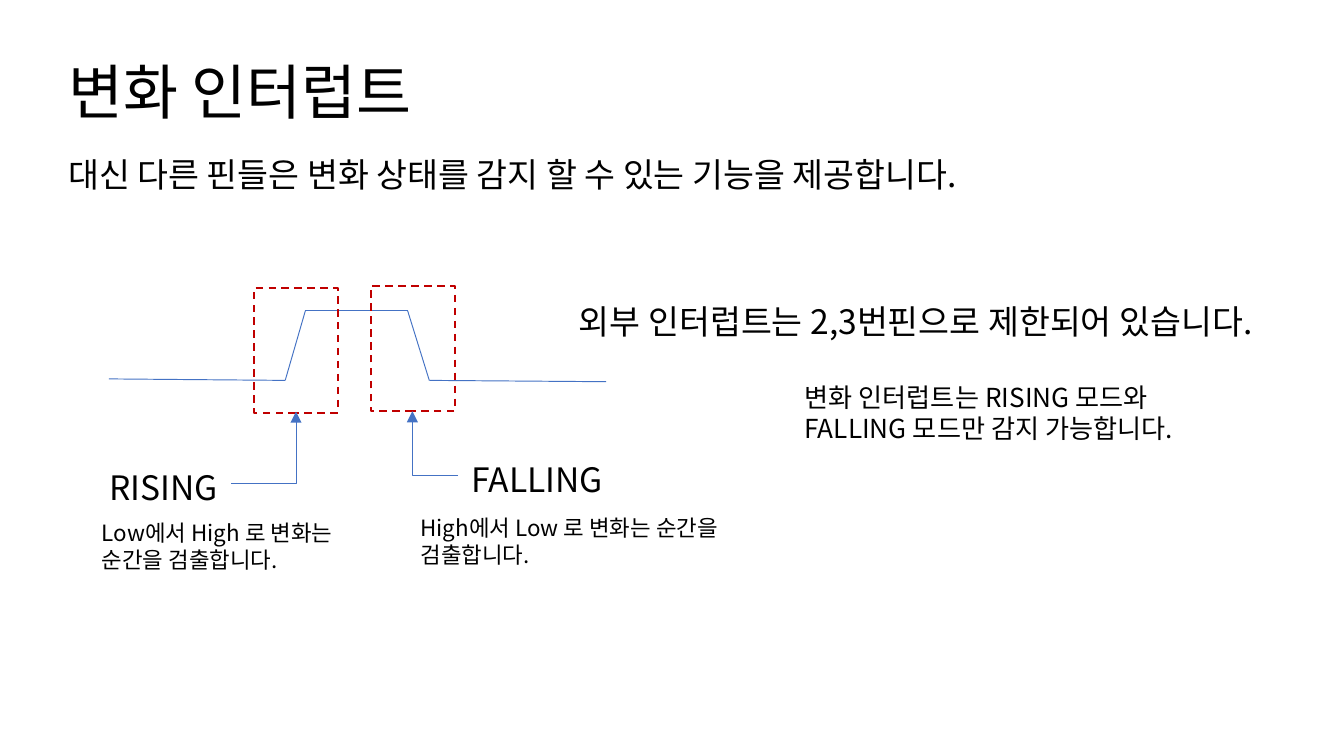
import pptx
import pptx.util
import pptx.dml.color
import pptx.enum.dml
import pptx.enum.shapes
import pptx.enum.text
from dataclasses import dataclass
from lxml import etree
from pptx.oxml.ns import qn

Pt = pptx.util.Pt
Rgb = pptx.dml.color.RGBColor
Kind = pptx.enum.shapes.MSO_CONNECTOR
Align = pptx.enum.text.PP_ALIGN


@dataclass(frozen=True)
class Theme:
    font: str = "Noto Sans CJK KR"
    ink: Rgb = Rgb(0, 0, 0)
    wave: Rgb = Rgb(0x44, 0x72, 0xC4)
    frame: Rgb = Rgb(0xC0, 0, 0)
    title: int = 32
    body: int = 18
    note: int = 14
    small: int = 12


theme = Theme()
deck = pptx.Presentation()
deck.slide_width, deck.slide_height = Pt(720), Pt(405)
slide = deck.slides.add_slide(deck.slide_layouts[6])
shapes = slide.shapes


def write(text, box, size, align=Align.LEFT):
    frame = shapes.add_textbox(*map(Pt, box)).text_frame
    frame.word_wrap = True
    # Tight fixed lines sit high, so the inset grows with the type size
    frame.margin_top = Pt(3.6 + 0.1 * size)
    frame.text = text
    for para in frame.paragraphs:
        para.alignment = align
        para.line_spacing = Pt(1.19 * size)
        for run in para.runs:
            run.font.size = Pt(size)
            run.font.name = theme.font
            run.font.color.rgb = theme.ink
            east = etree.SubElement(run.font._element, qn("a:ea"))
            east.set("typeface", theme.font)


def link(kind, start, end):
    line = shapes.add_connector(kind, *map(Pt, start + end))
    line.line.color.rgb = theme.wave
    line.line.width = Pt(0.5)
    etree.SubElement(line._element.spPr, qn("a:effectLst"))
    return line


# Headings and notes
write("변화 인터럽트", (29.5, 23, 514, 46), theme.title)
write("대신 다른 핀들은 변화 상태를 감지 할 수 있는 기능을 제공합니다.",
      (29.5, 77, 551.5, 28.8), theme.body)

# Pulse
wave = [(58.3, 203), (152.8, 203.8), (163.6, 166.5),
        (218.4, 166.5), (230, 203.8), (324.7, 204.5)]
for start, end in zip(wave, wave[1:]):
    link(Kind.STRAIGHT, start, end)

# Each edge: frame corner, arrow ends, label, caption
edges = [
    ((136.1, 154.1), (123.8, 259.2), (158.6, 220.5),
     "RISING", (47.5, 244.8, 76.3, 28.8), Align.RIGHT,
     "Low에서 High 로 변화는 순간을 검출합니다.", (47.5, 273.6, 160.6, 36)),
    ((198.7, 153.4), (245.5, 254.9), (221, 220.3),
     "FALLING", (245.5, 240.5, 195, 28.8), Align.LEFT,
     "High에서 Low 로 변화는 순간을 검출합니다.", (218.2, 270.7, 174.2, 36)),
]
for corner, start, end, name, spot, align, words, area in edges:
    frame = shapes.add_shape(pptx.enum.shapes.MSO_SHAPE.RECTANGLE,
                             *map(Pt, corner + (44.9, 67)))
    frame.shadow.inherit = False
    frame.fill.background()
    frame.line.color.rgb = theme.frame
    frame.line.width = Pt(1)
    frame.line.dash_style = pptx.enum.dml.MSO_LINE.DASH

    arrow = link(Kind.ELBOW, start, end)
    arrow._element.spPr.find(qn("a:prstGeom")).set("prst", "bentConnector2")
    tail = etree.SubElement(arrow.line._get_or_add_ln(), qn("a:tailEnd"))
    tail.set("type", "triangle")

    write(name, spot, theme.body, align)
    write(words, area, theme.small)

write("변화 인터럽트는 RISING 모드와\nFALLING 모드만 감지 가능합니다.",
      (424, 199.4, 223.2, 41), theme.note)
write("외부 인터럽트는 2,3번핀으로 제한되어 있습니다.",
      (303.1, 156.2, 383.8, 28.8), theme.body)

deck.save("out.pptx")
